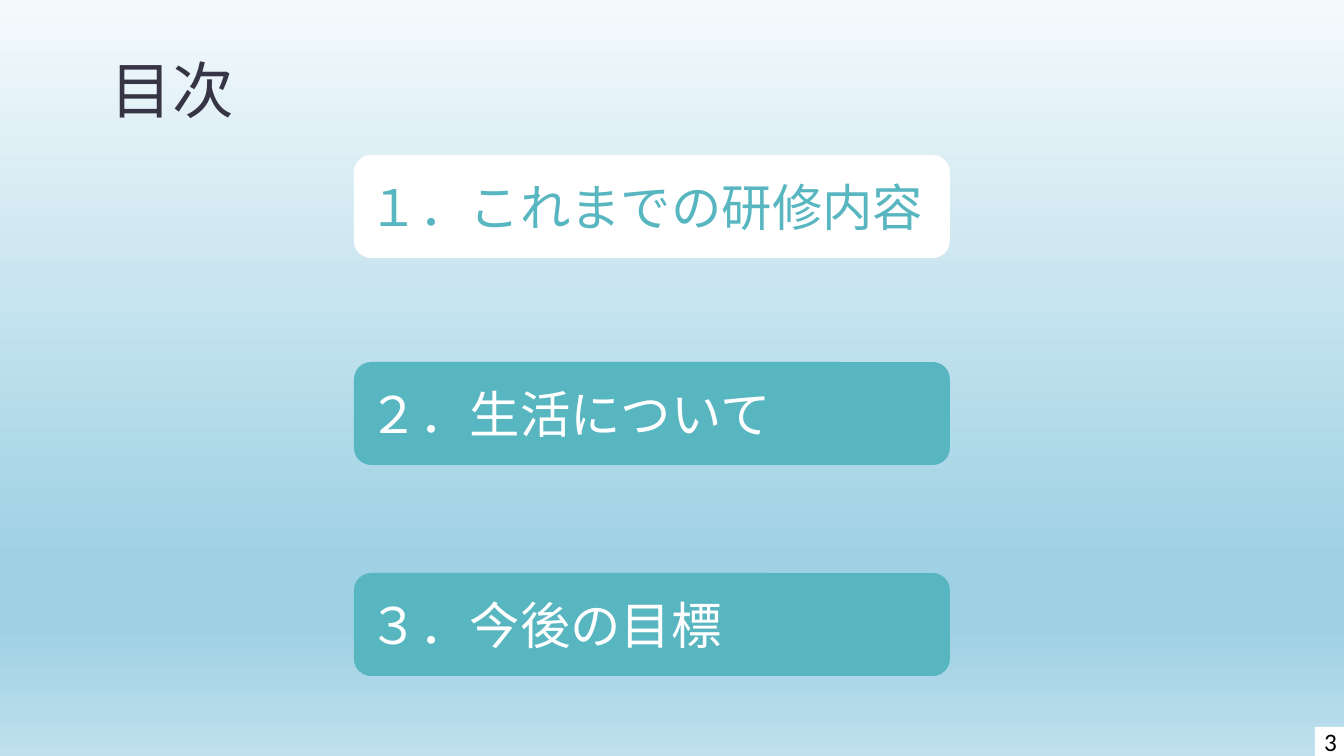
import lxml.etree
import pptx
import pptx.dml.color
import pptx.enum.shapes
import pptx.enum.text
import pptx.oxml.ns
import pptx.util

RGBColor = pptx.dml.color.RGBColor
WHITE = RGBColor(0xFF, 0xFF, 0xFF)
BLACK = RGBColor(0x00, 0x00, 0x00)
TEAL = RGBColor(0x58, 0xB6, 0xC0)
INK = RGBColor(0x37, 0x35, 0x45)
MIST = RGBColor(0xF4, 0xFA, 0xFC)
SKY = RGBColor(0x9F, 0xD1, 0xE4)
PALE_SKY = RGBColor(0xBF, 0xE0, 0xED)

ANCHOR = pptx.enum.text.MSO_ANCHOR
ALIGN = pptx.enum.text.PP_ALIGN
SHAPE = pptx.enum.shapes.MSO_SHAPE
WIDTH, HEIGHT = 1344, 756


def px(length):
    return pptx.util.Emu(round(length * 914400 / 100.8))


class SlideBuilder:
    body_font = "Calibri"
    japanese_font = "Noto Sans CJK JP"

    def __init__(self, presentation):
        self.slide = presentation.slides.add_slide(presentation.slide_layouts[6])

    def box(self, kind, left, top, width, height):
        shape = self.slide.shapes.add_shape(
            kind, px(left), px(top), px(width), px(height))
        shape.shadow.inherit = False
        shape.line.fill.background()
        return shape

    def backdrop(self, stops, angle):
        shape = self.box(SHAPE.RECTANGLE, 0, 0, WIDTH, HEIGHT)
        shape.fill.gradient()
        shape.fill.gradient_angle = angle
        qn = pptx.oxml.ns.qn
        stop_list = shape.element.spPr.find(".//" + qn("a:gsLst"))
        stop_list.clear()
        for percent, color in stops:
            stop = lxml.etree.SubElement(
                stop_list, qn("a:gs"), pos=str(percent * 1000))
            lxml.etree.SubElement(stop, qn("a:srgbClr"), val=str(color))

    def set_text(self, shape, text, size, color, font, anchor, align=ALIGN.LEFT):
        frame = shape.text_frame
        frame.word_wrap = True
        frame.vertical_anchor = anchor
        paragraph = frame.paragraphs[0]
        paragraph.text = text
        paragraph.alignment = align
        paragraph.font.size = pptx.util.Pt(size)
        paragraph.font.color.rgb = color
        paragraph.font.name = font
        qn = pptx.oxml.ns.qn
        properties = paragraph._p.pPr.find(qn("a:defRPr"))
        lxml.etree.SubElement(
            properties, qn("a:ea"), typeface=self.japanese_font)
        return paragraph

    def title(self, text, left, top, width, height):
        shape = self.slide.shapes.add_textbox(
            px(left), px(top), px(width), px(height))
        paragraph = self.set_text(
            shape, text, 44, INK, self.japanese_font, ANCHOR.BOTTOM)
        paragraph.line_spacing = 0.8

    def agenda_item(self, text, top, fill, color):
        shape = self.box(SHAPE.ROUNDED_RECTANGLE, 354, top, 596, 103)
        shape.fill.solid()
        shape.fill.fore_color.rgb = fill
        self.set_text(shape, text, 36, color, self.body_font, ANCHOR.MIDDLE)

    def page_number(self, text):
        shape = self.box(SHAPE.RECTANGLE, 1315, 727, 31, 29)
        shape.fill.solid()
        shape.fill.fore_color.rgb = WHITE
        frame = shape.text_frame
        frame.margin_left = frame.margin_right = 0
        frame.margin_top = frame.margin_bottom = 0
        self.set_text(shape, text, 18, BLACK, self.body_font,
                      ANCHOR.MIDDLE, ALIGN.CENTER)


def main():
    presentation = pptx.Presentation()
    presentation.slide_width = px(WIDTH)
    presentation.slide_height = px(HEIGHT)
    builder = SlideBuilder(presentation)
    builder.backdrop([(0, MIST), (74, SKY), (83, SKY), (100, PALE_SKY)], 270)
    builder.title("目次", 101, 52, 166, 78)
    for text, top, fill, color in [
        ("１．これまでの研修内容", 155, WHITE, TEAL),
        ("２．生活について", 362, TEAL, WHITE),
        ("３．今後の目標", 573, TEAL, WHITE),
    ]:
        builder.agenda_item(text, top, fill, color)
    builder.page_number("3")
    presentation.save("out.pptx")


if __name__ == "__main__":
    main()
